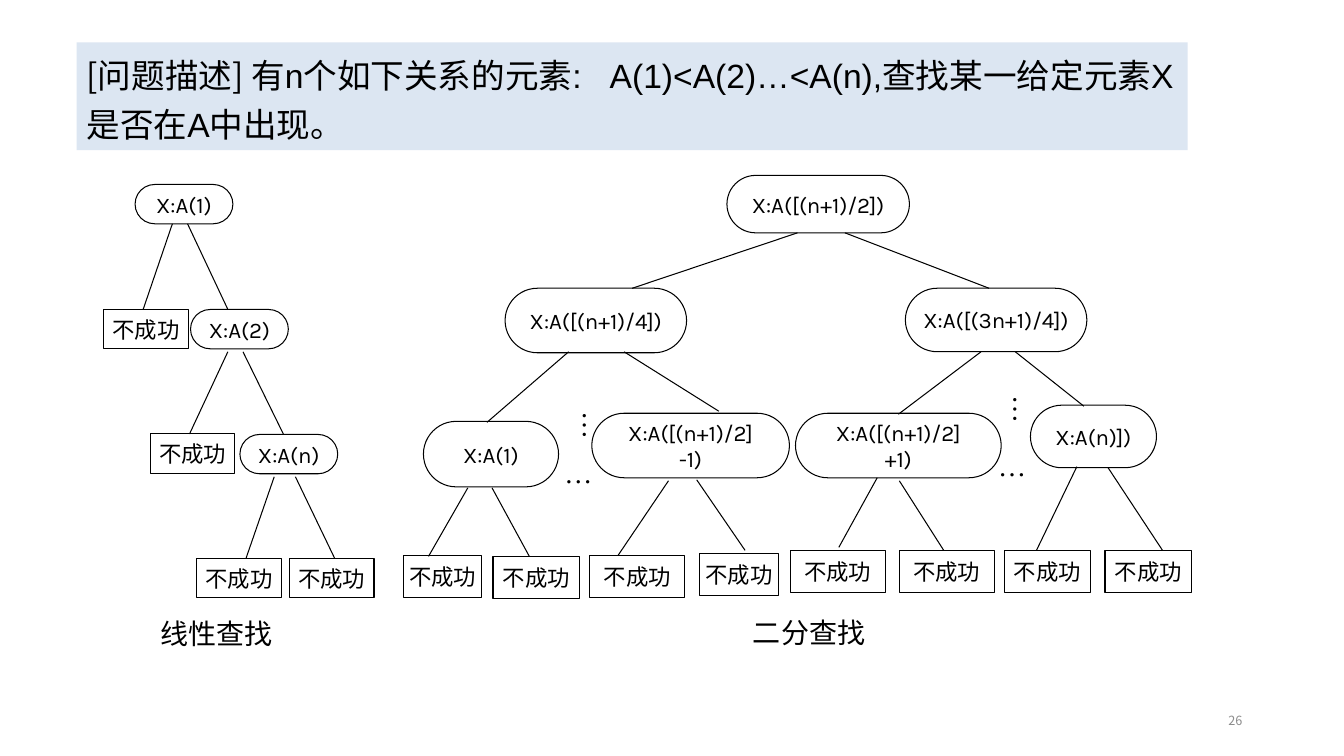
from dataclasses import dataclass

from lxml import etree
from pptx import Presentation
from pptx.dml.color import RGBColor
from pptx.enum.shapes import MSO_CONNECTOR, MSO_SHAPE
from pptx.enum.text import MSO_ANCHOR, PP_ALIGN
from pptx.oxml.ns import qn
from pptx.util import Inches, Pt

RECT, ROUND = MSO_SHAPE.RECTANGLE, MSO_SHAPE.ROUNDED_RECTANGLE
STRAIGHT = MSO_CONNECTOR.STRAIGHT
LEFT, CENTER, RIGHT = PP_ALIGN.LEFT, PP_ALIGN.CENTER, PP_ALIGN.RIGHT
TOP, MIDDLE = MSO_ANCHOR.TOP, MSO_ANCHOR.MIDDLE
COLS, ROWS = 1333, 750  # grid cells across and down the slide


@dataclass(frozen=True)
class Theme:
    ink: RGBColor = RGBColor(0, 0, 0)
    grey: RGBColor = RGBColor(0x8C, 0x8C, 0x8C)
    band: RGBColor = RGBColor(0xDC, 0xE6, 0xF2)
    cjk: str = "Noto Sans CJK SC"
    latin: str = "Arial"
    tree: str = "Karla"
    dots: str = "Times New Roman"
    title_pt: int = 24
    label_pt: int = 20
    node_pt: int = 16
    page_pt: int = 9
    line_pt: float = 0.75


class Board:
    def __init__(self, prs, theme):
        self.t = theme
        self.s = prs.slides.add_slide(prs.slide_layouts[6])
        self.w, self.h = prs.slide_width, prs.slide_height

    def cells(self, x, y, w, h):
        return (round(x * self.w / COLS), round(y * self.h / ROWS),
                round(w * self.w / COLS), round(h * self.h / ROWS))

    def run(self, p, text, font, size, color, gap=0):
        r = p.add_run()
        r.text = text
        for key, value in {"name": font, "size": Pt(size)}.items():
            setattr(r.font, key, value)
        r.font.color.rgb = color
        rPr = r.font._element
        etree.SubElement(rPr, qn("a:ea")).set("typeface", self.t.cjk)
        if gap:
            rPr.set("spc", str(round(gap * 100)))

    def frame(self, sp, wrap, anchor):
        tf = sp.text_frame
        for key, value in {"word_wrap": wrap, "vertical_anchor": anchor}.items():
            setattr(tf, key, value)
        return tf

    def box(self, kind, area, text):
        sp = self.s.shapes.add_shape(kind, *self.cells(*area))
        sp.shadow.inherit = False
        sp.fill.background()
        sp.line.color.rgb = self.t.ink
        sp.line.width = Pt(self.t.line_pt)
        tf = self.frame(sp, False, MIDDLE)
        for i, line in enumerate(text.split("\n")):
            p = tf.add_paragraph() if i else tf.paragraphs[0]
            p.alignment = CENTER
            self.run(p, line, self.t.tree, self.t.node_pt, self.t.ink)
        return sp

    def node(self, area, text):
        self.box(ROUND, area, text).adjustments[0] = 0.5

    def leaf(self, area):
        self.box(RECT, area, "不成功")

    def edge(self, x1, y1, x2, y2):
        start, end = self.cells(x1, y1, 0, 0), self.cells(x2, y2, 0, 0)
        c = self.s.shapes.add_connector(STRAIGHT, *start[:2], *end[:2])
        c.line.color.rgb = self.t.ink
        c.line.width = Pt(self.t.line_pt)
        etree.SubElement(c._element.spPr, qn("a:effectLst"))

    def label(self, area, text, font, size, color, align=LEFT, anchor=TOP, wrap=False, vertical=False):
        sp = self.s.shapes.add_textbox(*self.cells(*area))
        tf = self.frame(sp, wrap, anchor)
        if vertical:
            tf._txBody.bodyPr.set("vert", "eaVert")
        p = tf.paragraphs[0]
        p.alignment = align
        self.run(p, text, font, size, color)

    def banner(self, area, runs):
        sp = self.s.shapes.add_shape(RECT, *self.cells(*area))
        sp.shadow.inherit = False
        sp.fill.solid()
        sp.fill.fore_color.rgb = self.t.band
        sp.line.fill.background()
        p = self.frame(sp, True, TOP).paragraphs[0]
        for key, value in {"alignment": LEFT, "line_spacing": 1.2}.items():
            setattr(p, key, value)
        for text, font, gap in runs:
            self.run(p, text, font, self.t.title_pt, self.t.ink, gap)


def linear_search(b):
    t = b.t
    step = 124
    # Comparison nodes and the failing leaf beside each next level
    for i, (x, name) in enumerate(((134, "1"), (189, "2"), (238, "n"))):
        b.node((x, 183 + step * i, 97, 39), f"X:A({name})")
        b.leaf((103 + 46 * i, 307 + 123.5 * i, 84, 39))
    b.leaf((287, 554, 84, 39))
    # Left and right branch under each node
    for y, end, left, right in ((222, 307, (171, 142), (186, 226)),
                                (349, 430.5, (226, 188), (241, 281)),
                                (473, 554, (272, 244), (293, 332))):
        for x1, x2 in (left, right):
            b.edge(x1, y, x2, end)
    b.label((149, 607, 132, 44), "线性查找", t.cjk, t.label_pt, t.ink)


def binary_search(b):
    t = b.t
    # Comparison nodes, level by level
    for area, text in (((721, 174, 181, 57), "X:A([(n+1)/2])"),
                       ((501, 286, 180, 64), "X:A([(n+1)/4])"),
                       ((898, 286, 180, 63), "X:A([(3n+1)/4])"),
                       ((420, 418, 134, 65), "X:A(1)"),
                       ((587, 410, 196, 64), "X:A([(n+1)/2]\n-1)"),
                       ((789, 410, 204, 64), "X:A([(n+1)/2]\n+1)"),
                       ((1022, 402, 125, 62), "X:A(n)])")):
        b.node(area, text)
    # Failing leaves
    for x, y, w in ((400, 551, 78), (489, 552, 86), (585, 551, 94), (694, 549, 78),
                    (784, 546, 94), (892, 546, 94), (996, 546, 86), (1096, 546, 86)):
        b.leaf((x, y, w, 42))
    # Branches from the root down
    for ends in ((791, 231, 627, 286), (838, 231, 981, 286),
                 (564, 349, 483, 419), (619, 349, 713, 408),
                 (973, 349, 891, 411), (1007, 349, 1075, 403),
                 (464, 484, 425, 552), (488, 484, 525, 552),
                 (663, 477, 613, 551), (691, 476, 739, 546),
                 (870, 474, 832, 543), (892, 477, 936, 546),
                 (1068, 463, 1028, 546), (1099, 464, 1153, 546)):
        b.edge(*ends)
    # Dots for the levels and nodes left out
    for x, y, w, vertical in ((557, 398, 54, True), (984, 383, 54, True),
                              (550, 447, 48, False), (980, 440, 48, False)):
        b.label((x, y, w, 44), "…", t.dots, t.label_pt, t.ink, wrap=vertical, vertical=vertical)
    b.label((737, 606, 133, 44), "二分查找", t.cjk, t.label_pt, t.ink)


def main():
    prs = Presentation()
    prs.slide_width, prs.slide_height = Inches(13.33), Inches(7.5)
    t = Theme()
    b = Board(prs, t)
    # Problem statement; the lone space is widened by character spacing
    b.banner((76, 42, 1102, 107), (
        ("[问题描述] 有", t.cjk, 0), ("n", t.latin, 0), ("个如下关系的元素", t.cjk, 0),
        (":", t.latin, 0), (" ", t.latin, 13.3), ("A(1)<A(2)…<A(n),", t.latin, 0),
        ("查找某一给定元素", t.cjk, 0), ("X", t.latin, 0), ("是否在", t.cjk, 0),
        ("A", t.latin, 0), ("中出现。", t.cjk, 0)))
    # Decision trees
    linear_search(b)
    binary_search(b)
    # Page number
    b.label((942, 695, 300, 40), "26", t.cjk, t.page_pt, t.grey, RIGHT, MIDDLE, True)
    prs.save("out.pptx")


if __name__ == "__main__":
    main()
